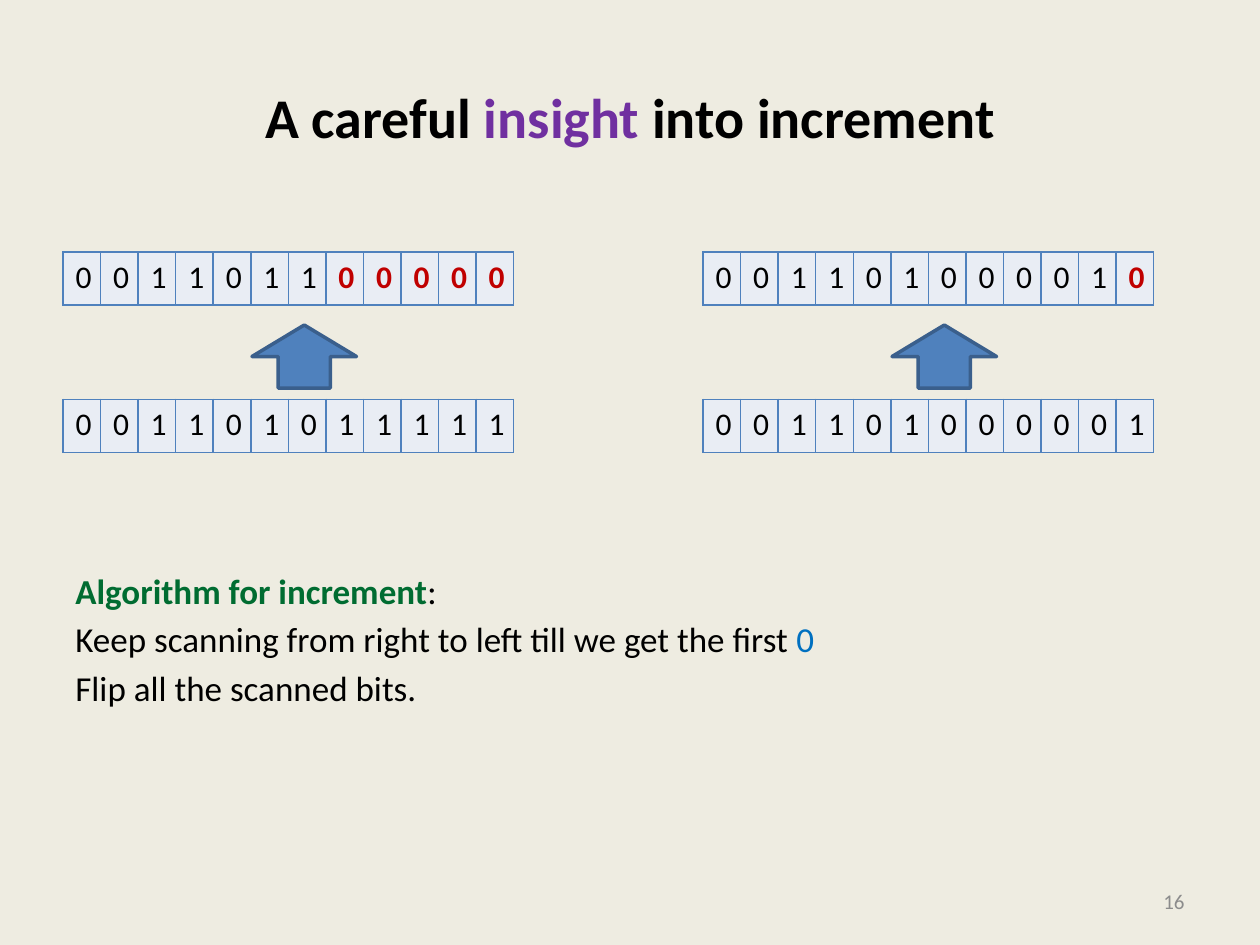
import pptx
import pptx.util
import pptx.dml.color
import pptx.enum.shapes
import pptx.enum.text
import pptx.oxml
import pptx.oxml.ns

Inches, Pt = pptx.util.Inches, pptx.util.Pt
RGBColor = pptx.dml.color.RGBColor
ALIGN, ANCHOR = pptx.enum.text.PP_ALIGN, pptx.enum.text.MSO_ANCHOR

PAPER = RGBColor(0xEE, 0xEC, 0xE1)
BLACK = RGBColor(0, 0, 0)
PURPLE = RGBColor(0x70, 0x30, 0xA0)
GREEN = RGBColor(0x00, 0x6C, 0x31)
BLUE = RGBColor(0x00, 0x70, 0xC0)
RED = RGBColor(0xC0, 0, 0)
GREY = RGBColor(0x8C, 0x8C, 0x8C)
CELL = RGBColor(0xE9, 0xED, 0xF4)
ACCENT = RGBColor(0x4F, 0x81, 0xBD)
ACCENT_EDGE = RGBColor(0x3A, 0x5F, 0x8C)

# Layout grid, in inches
MARGIN = 0.5
BITS = 12
COUNTER_WIDTH, COUNTER_HEIGHT = 3.58, 0.42
AFTER_TOP, ARROW_TOP, BEFORE_TOP = 2, 2.58, 3.17


def write(paragraph, text, size=20, color=BLACK, bold=False, align=ALIGN.LEFT):
    paragraph.alignment = align
    run = paragraph.add_run()
    run.text = text
    run.font.name = "Calibri"
    run.font.size = Pt(size)
    run.font.bold = bold
    run.font.color.rgb = color


def outline(cell):
    properties = cell._tc.get_or_add_tcPr()
    for position, side in enumerate(("lnL", "lnR", "lnT", "lnB")):
        properties.insert(position, pptx.oxml.parse_xml(
            f'<a:{side} {pptx.oxml.ns.nsdecls("a")} w="12700"><a:solidFill>'
            f'<a:srgbClr val="{ACCENT}"/></a:solidFill></a:{side}>'))


deck = pptx.Presentation()
deck.slide_width, deck.slide_height = Inches(10), Inches(7.5)
slide = deck.slides.add_slide(deck.slide_layouts.get_by_name("Title Only"))
slide.background.fill.solid()
slide.background.fill.fore_color.rgb = PAPER

# Title
heading = slide.shapes.title
heading.left, heading.top = Inches(MARGIN), Inches(0.3)
heading.width, heading.height = Inches(9), Inches(1.25)
heading.text_frame.vertical_anchor = ANCHOR.MIDDLE
for text, color in (("A careful ", BLACK), ("insight", PURPLE), (" into increment", BLACK)):
    write(heading.text_frame.paragraphs[0], text, size=32, color=color,
          bold=True, align=ALIGN.CENTER)

# Slide number
page = slide.shapes.add_textbox(Inches(7.17), Inches(6.95), Inches(2.33), Inches(0.4)).text_frame
page.word_wrap = True
page.vertical_anchor = ANCHOR.MIDDLE
write(page.paragraphs[0], "16", size=12, color=GREY, align=ALIGN.RIGHT)

# Algorithm, set in the lower part of the body area
algorithm = slide.shapes.add_textbox(Inches(MARGIN), Inches(1.75), Inches(9), Inches(4.95)).text_frame
algorithm.word_wrap = True
algorithm.margin_top = Inches(2.77)
steps = (
    (("Algorithm for increment", GREEN, True), (":", BLACK, False)),
    (("Keep scanning from right to left till we get the first ", BLACK, False), ("0", BLUE, False)),
    (("Flip all the scanned bits.", BLACK, False),),
)
for number, step in enumerate(steps):
    line = algorithm.add_paragraph() if number else algorithm.paragraphs[0]
    line.space_before = Pt(3.6 if number else 0)
    for text, color, bold in step:
        write(line, text, color=color, bold=bold)

# Examples: counter before (below), counter after (above), arrow between.
# The last `cleared` bits of the upper counter stand out in red.
examples = (
    (MARGIN, "001101011111", "001101100000", 5),
    (5.58, "001101000001", "001101000010", 1),
)
for left, before, after, cleared in examples:
    for top, bits, marked in ((BEFORE_TOP, before, 0), (AFTER_TOP, after, cleared)):
        counter = slide.shapes.add_table(1, BITS, Inches(left), Inches(top),
                                         Inches(COUNTER_WIDTH), Inches(COUNTER_HEIGHT)).table
        counter.first_row = counter.horz_banding = False
        for index, bit in enumerate(bits):
            cell = counter.cell(0, index)
            cell.fill.solid()
            cell.fill.fore_color.rgb = CELL
            outline(cell)
            red = index >= BITS - marked
            write(cell.text_frame.paragraphs[0], bit, size=18, color=RED if red else BLACK,
                  bold=red, align=ALIGN.CENTER)

    increment = slide.shapes.add_shape(pptx.enum.shapes.MSO_SHAPE.UP_ARROW, Inches(left + 1.5),
                                       Inches(ARROW_TOP), Inches(0.83), Inches(0.5))
    increment.shadow.inherit = False
    increment.fill.solid()
    increment.fill.fore_color.rgb = ACCENT
    increment.line.color.rgb = ACCENT_EDGE
    increment.line.width = Pt(2)

deck.save("out.pptx")
